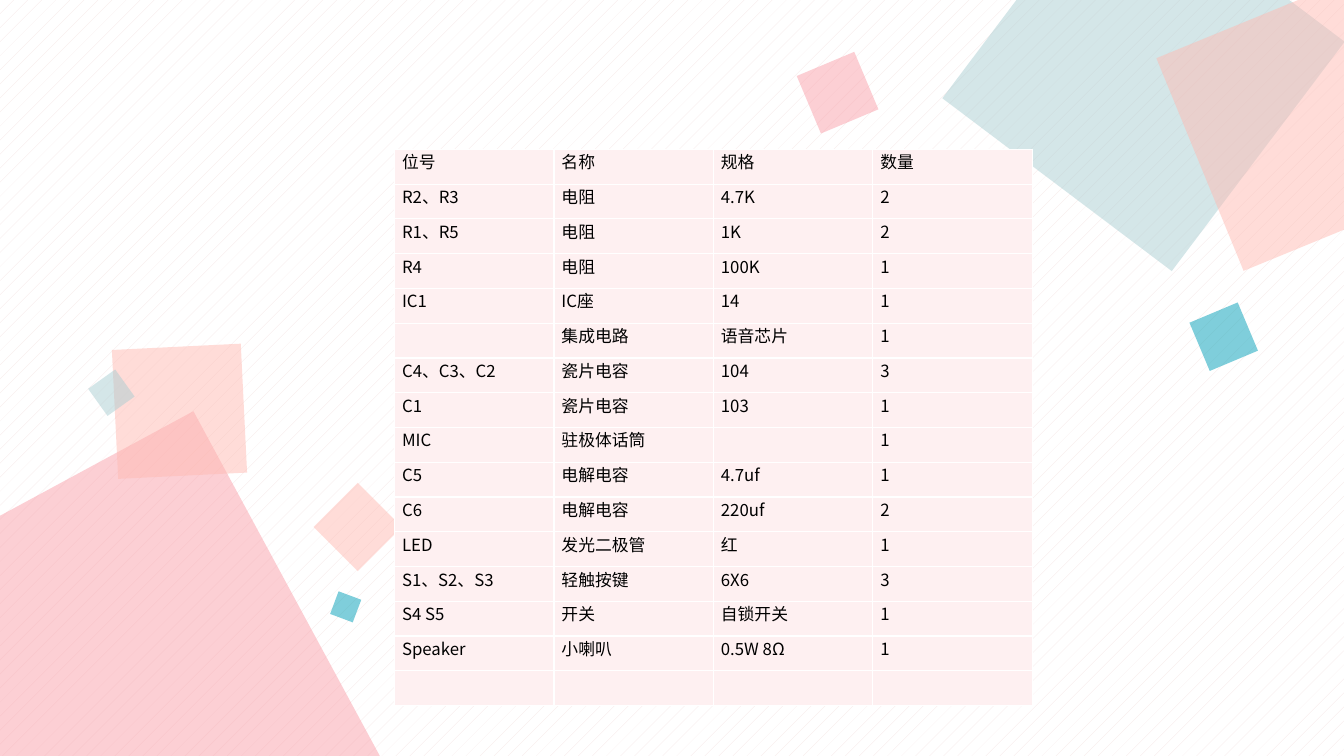
import pptx
import pptx.util
import pptx.dml.color
import pptx.enum.dml
import pptx.enum.shapes
import pptx.enum.text
import pptx.oxml.ns
from lxml import etree

Pt = pptx.util.Pt
qn = pptx.oxml.ns.qn

COLORS = {
    "white": "FFFFFF", "dots": "F5E5E4", "pink": "FAA0AA", "peach": "FFBBB3",
    "mist": "AACED2", "teal": "009FB8", "cell": "FEF0F1", "ink": "000000",
}
FONT = "Noto Sans CJK SC"
WIDE, HIGH = 960, 540

# Tilted squares: left, top, side, turn, colour
LEFT = [
    (-67, 345.6, 292.3, 331.6, "pink"),
    (82.1, 247.7, 92.2, 357.2, "peach"),
    (233.3, 354.2, 44.6, 315, "peach"),
    (67.7, 268.6, 23.8, 324.4, "mist"),
    (238.3, 424.8, 17.3, 290.5, "teal"),
]
# Measured from the middle of the slide
RIGHT = [
    (234.2, -52.6, 205.2, 37, "mist"),
    (371, 4.3, 164.2, 337.7, "peach"),
    (96, 43.9, 44.6, 337.2, "pink"),
    (375.4, 221.8, 37.4, 337.2, "teal"),
]
PARTS = [
    ("位号", "名称", "规格", "数量"),
    ("R2、R3", "电阻", "4.7K", "2"),
    ("R1、R5", "电阻", "1K", "2"),
    ("R4", "电阻", "100K", "1"),
    ("IC1", "IC座", "14", "1"),
    ("", "集成电路", "语音芯片", "1"),
    ("C4、C3、C2", "瓷片电容", "104", "3"),
    ("C1", "瓷片电容", "103", "1"),
    ("MIC", "驻极体话筒", "", "1"),
    ("C5", "电解电容", "4.7uf", "1"),
    ("C6", "电解电容", "220uf", "2"),
    ("LED", "发光二极管", "红", "1"),
    ("S1、S2、S3", "轻触按键", "6X6", "3"),
    ("S4 S5", "开关", "自锁开关", "1"),
    ("Speaker", "小喇叭", "0.5W 8Ω", "1"),
    ("", "", "", ""),
]


def rgb(name):
    return pptx.dml.color.RGBColor.from_string(COLORS[name])


def paint(slide):
    fill = slide.background.fill
    fill.patterned()
    fill.pattern = pptx.enum.dml.MSO_PATTERN.PERCENT_5
    fill.fore_color.rgb = rgb("dots")
    fill.back_color.rgb = rgb("white")


def squares(slide, box, items):
    for left, top, side, turn, color in items:
        shape = slide.shapes.add_shape(
            pptx.enum.shapes.MSO_SHAPE.RECTANGLE,
            Pt(box[0] + left), Pt(box[1] + top), Pt(side), Pt(side))
        shape.rotation = turn
        shape.shadow.inherit = False
        shape.line.fill.background()
        shape.fill.solid()
        shape.fill.fore_color.rgb = rgb(color)
        # Half transparent
        tint = shape.fill._xPr.find(".//" + qn("a:srgbClr"))
        etree.SubElement(tint, qn("a:alpha"), val="50000")


def border(cell):
    props = cell._tc.get_or_add_tcPr()
    for spot, side in enumerate(("lnL", "lnR", "lnT", "lnB")):
        line = etree.Element(qn("a:" + side), w=str(Pt(1)))
        solid = etree.SubElement(line, qn("a:solidFill"))
        etree.SubElement(solid, qn("a:srgbClr"), val=COLORS["white"])
        props.insert(spot, line)


def write(cell, text):
    cell.margin_left = cell.margin_right = Pt(5.4)
    cell.margin_top = cell.margin_bottom = 0
    cell.fill.solid()
    cell.fill.fore_color.rgb = rgb("cell")
    border(cell)
    para = cell.text_frame.paragraphs[0]
    para.alignment = pptx.enum.text.PP_ALIGN.JUSTIFY
    if not text:
        # Keeps an empty cell as low as the others
        etree.SubElement(para._p, qn("a:endParaRPr"), sz="1200")
        return
    run = para.add_run()
    run.text = text
    run.font.size = Pt(12)
    run.font.name = FONT
    run.font.color.rgb = rgb("ink")
    etree.SubElement(run._r.rPr, qn("a:ea"), typeface=FONT)


def listing(slide, box, rows):
    left, top, width, height = box
    table = slide.shapes.add_table(
        len(rows), len(rows[0]), Pt(left), Pt(top), Pt(width), Pt(height)).table
    table.first_row = table.horz_banding = False
    for col in table.columns:
        col.width = Pt(width / len(rows[0]))
    for r, row in enumerate(rows):
        table.rows[r].height = Pt(height / len(rows))
        for c, text in enumerate(row):
            write(table.cell(r, c), text)


def main():
    deck = pptx.Presentation()
    deck.slide_width, deck.slide_height = Pt(WIDE), Pt(HIGH)
    slide = deck.slides.add_slide(deck.slide_layouts[6])
    paint(slide)
    # Decoration on both sides
    squares(slide, (0, 0), LEFT)
    squares(slide, (WIDE / 2, 0), RIGHT)
    # Parts list
    listing(slide, (281.8, 106.7, 455.6, 397.4), PARTS)
    deck.save("out.pptx")


if __name__ == "__main__":
    main()
